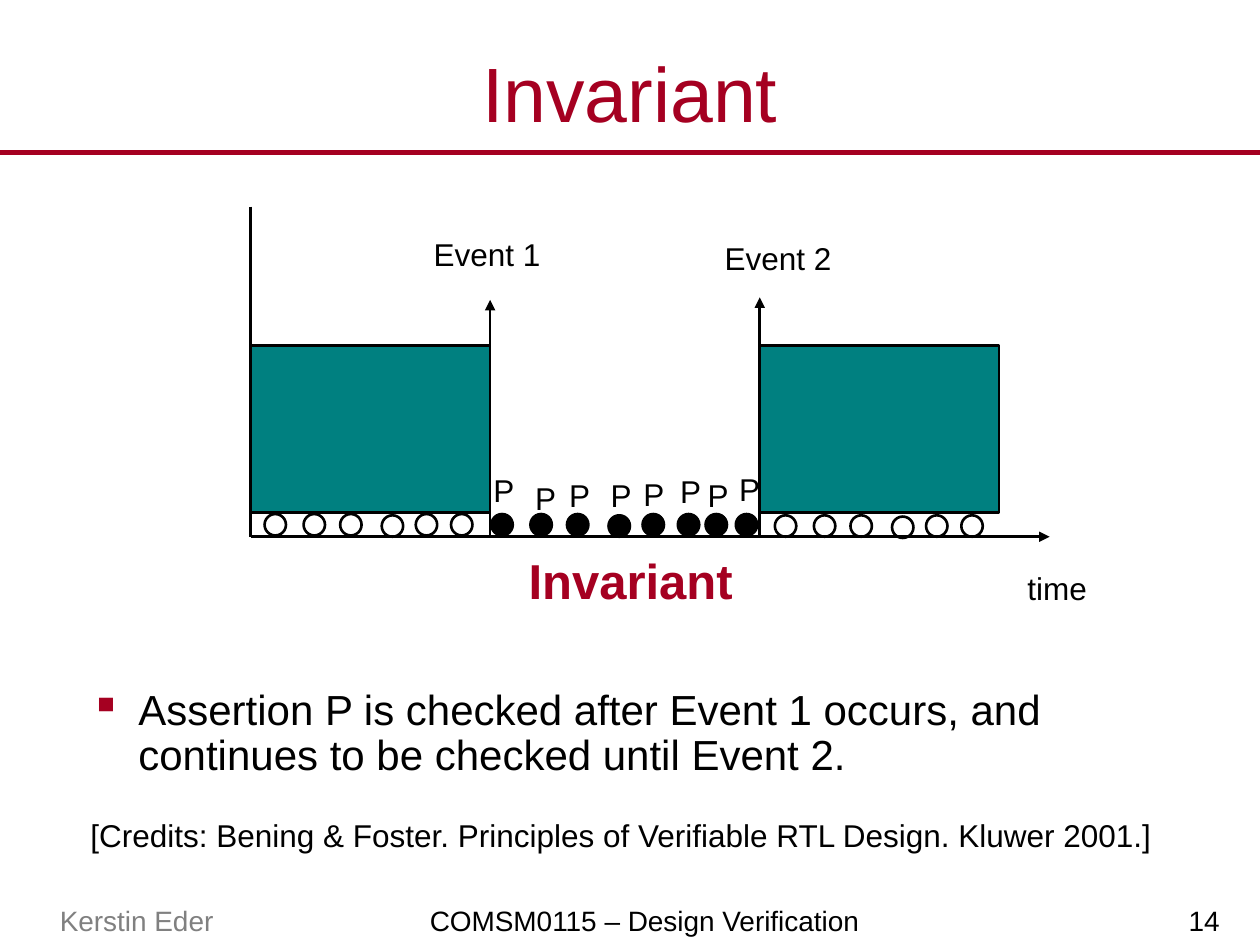
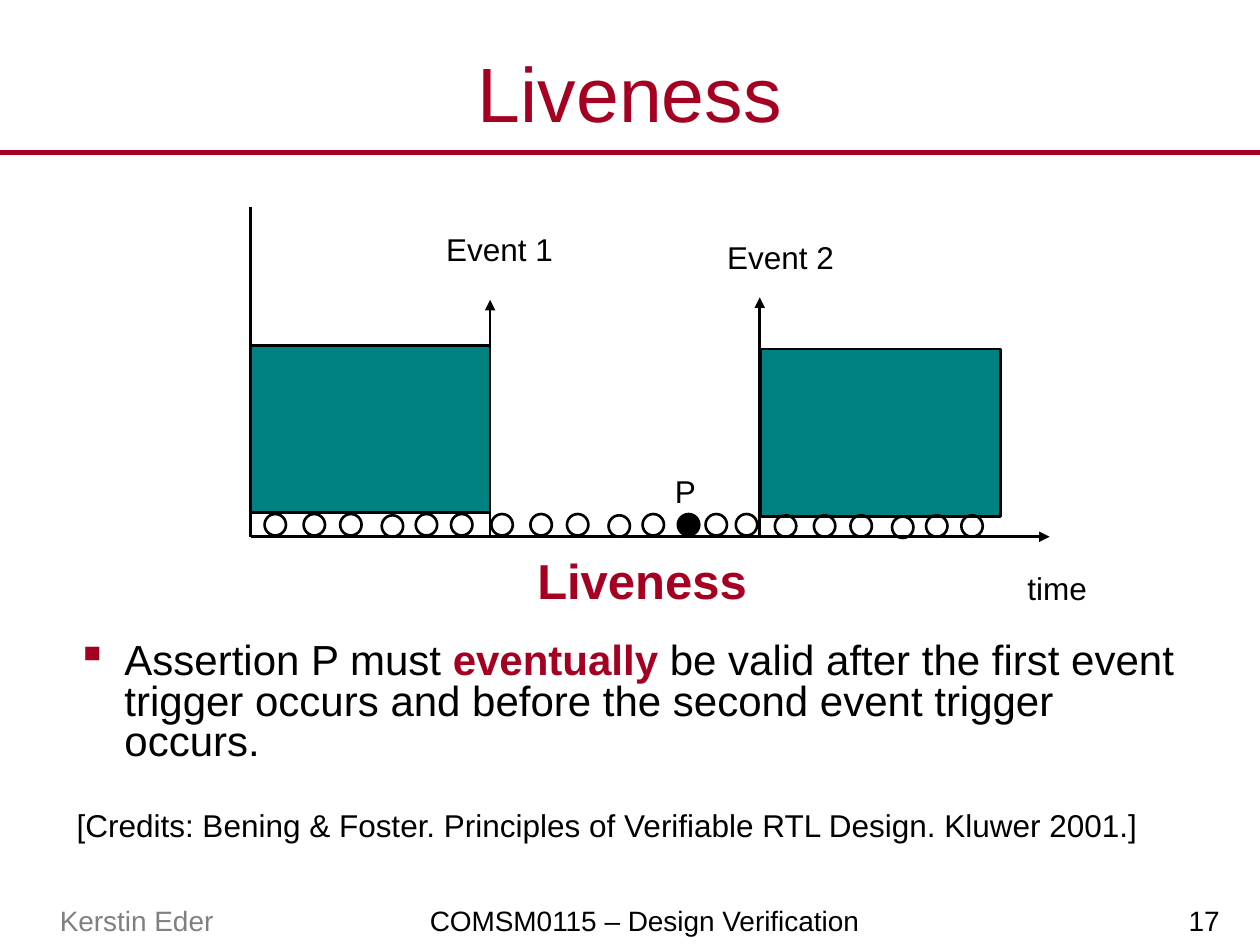
from dataclasses import dataclass

import lxml.etree
import pptx
import pptx.dml.color
import pptx.enum.shapes
import pptx.enum.text
import pptx.oxml
import pptx.oxml.ns
import pptx.util

Inches = pptx.util.Inches
Pt = pptx.util.Pt
ALIGN = pptx.enum.text.PP_ALIGN
ANCHOR = pptx.enum.text.MSO_ANCHOR
SHAPE = pptx.enum.shapes.MSO_SHAPE


@dataclass(frozen=True)
class Theme:
    font: str = "Arial"
    accent: str = "A50021"
    ink: str = "000000"
    muted: str = "808080"
    block: str = "008080"
    title_size: int = 44
    caption_size: int = 28
    body_size: int = 24
    label_size: int = 18
    footer_size: int = 16
    rule_width: float = 3
    line_width: float = 1.5


@dataclass(frozen=True)
class Box:
    left: float
    top: float
    width: float
    height: float

    def inner(self, left, top, width, height):
        """Return a box placed relative to this one."""
        return Box(self.left + left, self.top + top, width, height)

    def inches(self):
        return [Inches(n) for n in (self.left, self.top, self.width, self.height)]


THEME = Theme()
PAGE = Box(0, 0, 10, 7.5)
TIMELINE = Box(1.99, 1.64, 7.1, 3.25)
CREDITS = "[Credits: Bening & Foster. Principles of Verifiable RTL Design. Kluwer 2001.]"

AXIS_HEIGHT = 2.62
AXIS_LENGTH = 6.34
EVENT_X = (1.9, 4.04)
EVENT_TIPS = (0.74, 0.72)
BLOCK_SIZE = (1.9, 1.33)
DOT_SIZE = 0.17
DOT_STEPS = (0, 0.31, 0.6, 0.93, 1.2, 1.48)
DOTS_BEFORE = [0.11 + step for step in DOT_STEPS]
DOTS_BETWEEN = [1.91 + step for step in DOT_STEPS] + [3.61, 3.85]
DOTS_AFTER = [4.16 + step for step in DOT_STEPS]


def rgb(color):
    return pptx.dml.color.RGBColor.from_string(color)


def add_run(paragraph, text, size, color=THEME.ink, bold=False):
    run = paragraph.add_run()
    run.text = text
    run.font.name = THEME.font
    run.font.size = Pt(size)
    run.font.color.rgb = rgb(color)
    run.font.bold = bold


def add_text_frame(slide, box, anchor=ANCHOR.TOP):
    frame = slide.shapes.add_textbox(*box.inches()).text_frame
    frame.word_wrap = True
    frame.vertical_anchor = anchor
    return frame


def add_label(slide, box, text, size=THEME.label_size, color=THEME.ink,
              bold=False, align=ALIGN.CENTER, anchor=ANCHOR.TOP):
    frame = add_text_frame(slide, box, anchor)
    paragraph = frame.paragraphs[0]
    paragraph.alignment = align
    add_run(paragraph, text, size, color, bold)
    return frame


def add_line(slide, start, end, color=THEME.ink, width=THEME.line_width, arrow=False):
    connector = slide.shapes.add_connector(
        pptx.enum.shapes.MSO_CONNECTOR.STRAIGHT,
        *[Inches(n) for n in (*start, *end)])
    connector.line.color.rgb = rgb(color)
    connector.line.width = Pt(width)
    properties = connector._element.spPr
    if arrow:
        outline = properties.find(pptx.oxml.ns.qn("a:ln"))
        tail = lxml.etree.SubElement(outline, pptx.oxml.ns.qn("a:tailEnd"))
        tail.set("type", "triangle")
    lxml.etree.SubElement(properties, pptx.oxml.ns.qn("a:effectLst"))


def add_outlined_shape(slide, kind, box, fill=None):
    shape = slide.shapes.add_shape(kind, *box.inches())
    shape.shadow.inherit = False
    if fill:
        shape.fill.solid()
        shape.fill.fore_color.rgb = rgb(fill)
    else:
        shape.fill.background()
    shape.line.color.rgb = rgb(THEME.ink)
    shape.line.width = Pt(THEME.line_width)


def add_header(slide, page, title):
    add_label(slide, page.inner(0, 0.3, page.width, 0.86), title,
              THEME.title_size, THEME.accent, anchor=ANCHOR.MIDDLE)
    rule_top = page.top + 1.21
    add_line(slide, (page.left, rule_top), (page.left + page.width, rule_top),
             THEME.accent, THEME.rule_width)


def add_footer(slide, page, number):
    footers = (
        (0, 2.17, "Kerstin Eder", THEME.muted, ALIGN.CENTER),
        (1.82, 6.59, "COMSM0115 – Design Verification", THEME.ink, ALIGN.CENTER),
        (7.8, 1.99, str(number), THEME.ink, ALIGN.RIGHT),
    )
    for left, width, text, color, align in footers:
        frame = add_label(slide, page.inner(left, 6.93, width, 0.57), text,
                          THEME.footer_size, color, align=align, anchor=ANCHOR.BOTTOM)
        frame.margin_left = frame.margin_right = Inches(0.11)
        frame.margin_top = frame.margin_bottom = Inches(0.06)


def add_dots(slide, box, lefts, top, filled=()):
    """Draw a row of sample points; filled lists the indexes drawn solid."""
    for index, left in enumerate(lefts):
        drop = 0.01 if index == 3 else 0
        add_outlined_shape(slide, SHAPE.OVAL,
                           box.inner(left, top + drop, DOT_SIZE, DOT_SIZE),
                           THEME.ink if index in filled else None)


def add_timeline(slide, box, caption, caption_left, event_labels, second_block,
                 filled, p_marks):
    """Draw the time axis; p_marks holds (centre, top) of each P in the box."""
    axis_y = box.top + AXIS_HEIGHT
    add_line(slide, (box.left, box.top), (box.left, axis_y))
    add_line(slide, (box.left, axis_y), (box.left + AXIS_LENGTH, axis_y), arrow=True)
    for event_x, tip in zip(EVENT_X, EVENT_TIPS):
        add_line(slide, (box.left + event_x, axis_y),
                 (box.left + event_x, box.top + tip), arrow=True)
    for left, top in ((0, 1.1), second_block):
        add_outlined_shape(slide, SHAPE.RECTANGLE,
                           box.inner(left, top, *BLOCK_SIZE), THEME.block)
    for number, (left, top) in enumerate(event_labels, 1):
        add_label(slide, box.inner(left, top, 1.49, 0.4), f"Event {number}")

    add_dots(slide, box, DOTS_BEFORE, 2.44)
    add_dots(slide, box, DOTS_BETWEEN, 2.44, filled)
    add_dots(slide, box, DOTS_AFTER, 2.45)
    for centre, top in p_marks:
        add_label(slide, box.inner(centre - 0.29, top, 0.58, 0.4), "P")

    add_label(slide, box.inner(caption_left, 2.68, 2.99, 0.57), caption,
              THEME.caption_size, THEME.accent, bold=True)
    add_label(slide, box.inner(5.7, 2.83, 1.4, 0.4), "time")


def add_square_bullet(paragraph):
    properties = paragraph._p.get_or_add_pPr()
    properties.set("marL", str(Inches(0.38)))
    properties.set("indent", str(Inches(-0.38)))
    color = lxml.etree.SubElement(properties, pptx.oxml.ns.qn("a:buClr"))
    lxml.etree.SubElement(color, pptx.oxml.ns.qn("a:srgbClr")).set("val", THEME.accent)
    lxml.etree.SubElement(properties, pptx.oxml.ns.qn("a:buChar")).set("char", "▪")


def add_explanation(slide, box, phrases, line_spacing, credits_gap):
    """Write the bullet from (text, emphasised) phrases, then the credits."""
    frame = add_text_frame(slide, box)
    bullet = frame.paragraphs[0]
    add_square_bullet(bullet)
    bullet.line_spacing = line_spacing
    for text, emphasised in phrases:
        add_run(bullet, text, THEME.body_size,
                THEME.accent if emphasised else THEME.ink, emphasised)
    source = frame.add_paragraph()
    source.line_spacing = line_spacing
    source.space_before = Pt(credits_gap)
    add_run(source, CREDITS, THEME.label_size)


def add_property_slide(presentation, title, number, timeline, explanation):
    slide = presentation.slides.add_slide(presentation.slide_layouts[6])
    add_header(slide, PAGE, title)
    add_footer(slide, PAGE, number)
    add_explanation(slide, **explanation)
    add_timeline(slide, TIMELINE, title, **timeline)


def main():
    presentation = pptx.Presentation()
    presentation.slide_width = Inches(PAGE.width)
    presentation.slide_height = Inches(PAGE.height)
    add_property_slide(
        presentation, "Invariant", 14,
        timeline=dict(
            caption_left=1.52,
            event_labels=((1.13, 0.18), (3.44, 0.21)),
            second_block=(4.04, 1.1),
            filled=range(len(DOTS_BETWEEN)),
            p_marks=((2.01, 2.05), (2.34, 2.11), (2.61, 2.09), (2.94, 2.09),
                     (3.2, 2.08), (3.49, 2.06), (3.71, 2.09), (3.96, 2.04))),
        explanation=dict(
            box=Box(0.62, 5.42, 9, 1.57),
            phrases=(("Assertion P is checked after Event 1 occurs, and continues "
                      "to be checked until Event 2.", False),),
            line_spacing=0.9, credits_gap=23))
    add_property_slide(
        presentation, "Liveness", 17,
        timeline=dict(
            caption_left=1.61,
            event_labels=((1.23, 0.14), (3.46, 0.2)),
            second_block=(4.05, 1.13),
            filled=(5,),
            p_marks=((3.45, 2.06),)),
        explanation=dict(
            box=Box(0.51, 5.06, 9, 1.77),
            phrases=(("Assertion P must ", False), ("eventually", True),
                     (" be valid after the first event trigger occurs and before "
                      "the second event trigger occurs.", False)),
            line_spacing=0.8, credits_gap=28))
    presentation.save("out.pptx")


if __name__ == "__main__":
    main()
